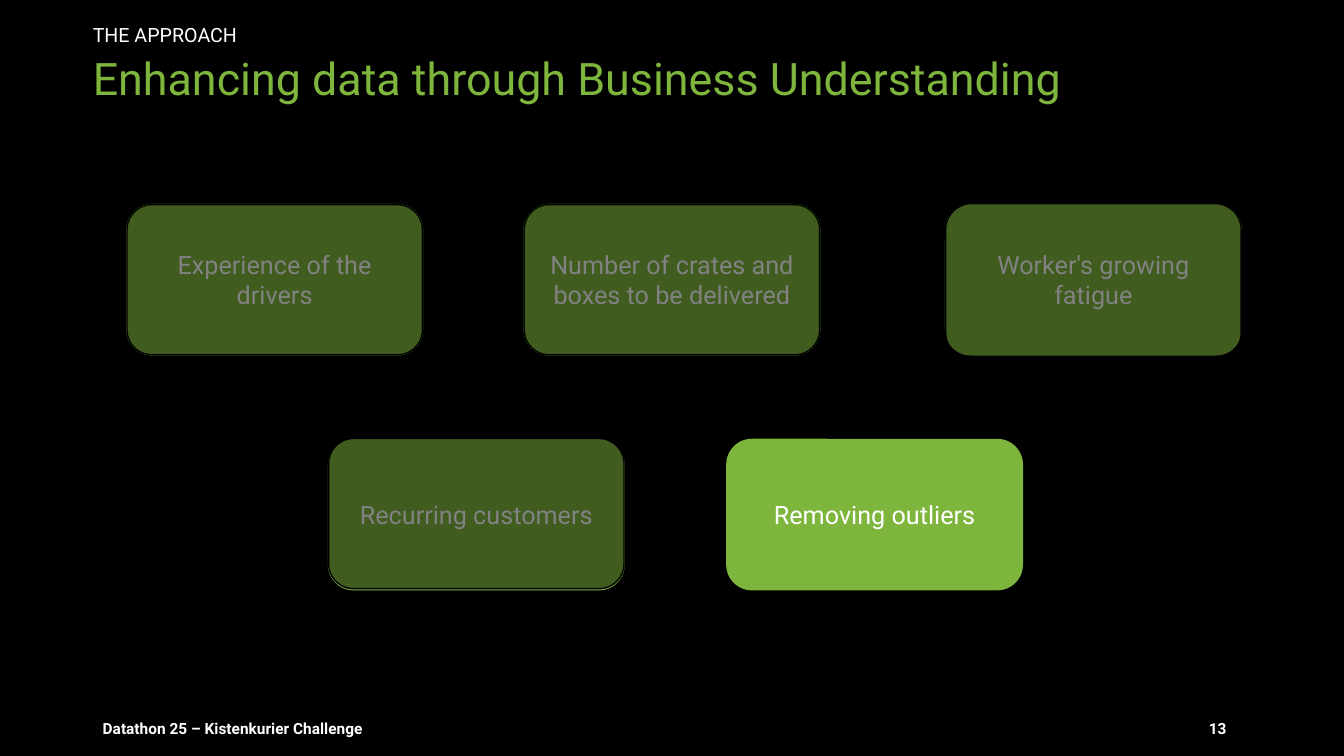
from dataclasses import dataclass

from lxml import etree
from pptx import Presentation
from pptx.dml.color import RGBColor
from pptx.enum import shapes, text
from pptx.oxml import ns
from pptx.util import Inches, Pt


@dataclass(frozen=True)
class Theme:
    font: str = "Roboto"
    black: RGBColor = RGBColor(0, 0, 0)
    white: RGBColor = RGBColor(255, 255, 255)
    green: RGBColor = RGBColor(0x7E, 0xB5, 0x3C)
    title: int = 32
    card: int = 18
    kicker: int = 14
    foot: int = 11


theme = Theme()
MID = text.MSO_ANCHOR.MIDDLE
TOP = text.MSO_ANCHOR.TOP

deck = Presentation()
deck.slide_width, deck.slide_height = Inches(13.33), Inches(7.5)
slide = deck.slides.add_slide(deck.slide_layouts[6])
slide.background.fill.solid()
slide.background.fill.fore_color.rgb = theme.black


def write(shape, words, size, color, bold=False):
    para = shape.text_frame.paragraphs[0]
    run = para.add_run()
    run.text = words
    font = run.font
    font.name, font.size, font.bold = theme.font, Pt(size), bold
    font.color.rgb = color
    return para


def add_card(left, top, high, color):
    """Add a rounded box whose fill and outline share one colour."""
    card = slide.shapes.add_shape(
        shapes.MSO_SHAPE.ROUNDED_RECTANGLE,
        Inches(left), Inches(top), Inches(2.93), Inches(high))
    card.shadow.inherit = False
    card.fill.solid()
    card.fill.fore_color.rgb = color
    card.line.color.rgb = color
    card.line.width = Pt(1)
    return card


# Footer: left, top, width, height, anchor, words
footer = [
    (0.92, 7.08, 4.92, 0.29, TOP, "Datathon 25 – Kistenkurier Challenge"),
    (11.89, 7.03, 0.52, 0.4, MID, "13"),
]
for left, top, width, high, anchor, words in footer:
    box = slide.shapes.add_textbox(*map(Inches, (left, top, width, high)))
    box.text_frame.word_wrap = True
    box.text_frame.vertical_anchor = anchor
    write(box, words, theme.foot, theme.white, bold=True)

# Heading: top, height, vertical inset, anchor, words, size, colour
heading = [
    (0.52, 0.67, 0.04, TOP, "Enhancing data through Business Understanding",
     theme.title, theme.green),
    (0.2, 0.31, 0, MID, "THE APPROACH", theme.kicker, theme.white),
]
for top, high, inset, anchor, words, size, color in heading:
    box = slide.shapes.add_textbox(
        Inches(0.92), Inches(top), Inches(11.49), Inches(high))
    frame = box.text_frame
    frame.word_wrap = True
    frame.vertical_anchor = anchor
    frame.margin_left = frame.margin_right = 0
    frame.margin_top = frame.margin_bottom = Inches(inset)
    write(box, words, size, color).line_spacing = 0.9

# Cards: left, top, words
cards = [
    (1.26, 2.03, "Experience of the drivers"),
    (5.2, 2.03, "Number of crates and boxes to be delivered"),
    (3.26, 4.36, "Recurring customers"),
    (7.21, 4.36, "Removing outliers"),
    (9.38, 2.03, "Worker's growing fatigue"),
]
for left, top, words in cards:
    card = add_card(left, top, 1.49, theme.green)
    card.text_frame.word_wrap = True
    card.text_frame.vertical_anchor = MID
    para = write(card, words, theme.card, theme.white)
    para.alignment = text.PP_ALIGN.CENTER

# Half-clear shades dim every card but the current one: left, top, height
shades = [
    (1.26, 2.03, 1.49),
    (9.38, 2.02, 1.54),
    (5.2, 2.03, 1.49),
    (3.26, 4.35, 1.49),
]
for left, top, high in shades:
    shade = add_card(left, top, high, theme.black)
    tint = shade.fill._xPr.find(ns.qn("a:solidFill"))[0]
    etree.SubElement(tint, ns.qn("a:alpha"), val="49000")

deck.save("out.pptx")
